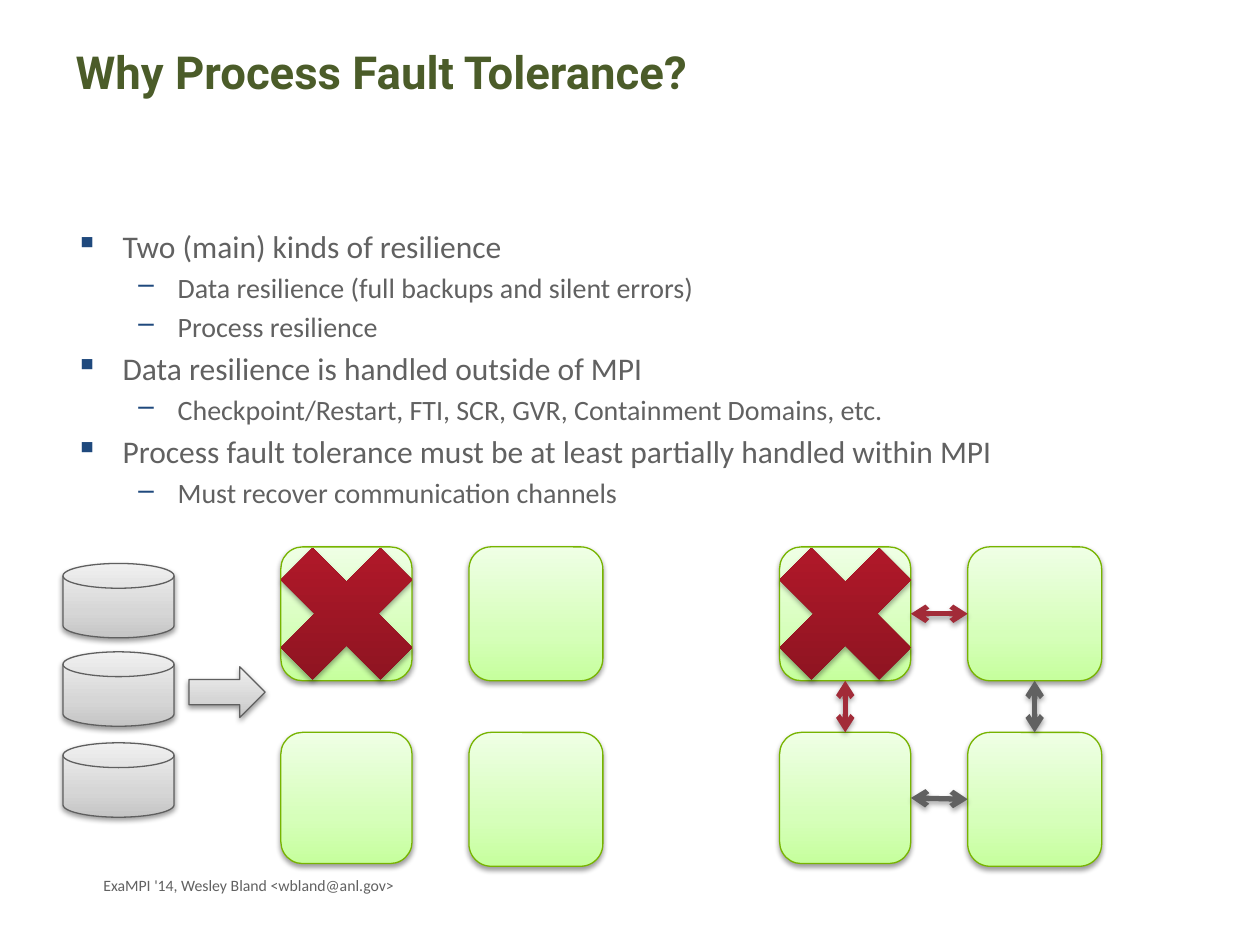
"""Build a slide on process fault tolerance with bullets and two node grids."""
from lxml import etree
from pptx import Presentation
from pptx.dml.color import RGBColor
from pptx.enum.shapes import MSO_CONNECTOR, MSO_SHAPE
from pptx.enum.text import MSO_ANCHOR, PP_ALIGN
from pptx.oxml.ns import qn
from pptx.util import Pt

NODE = MSO_SHAPE.ROUNDED_RECTANGLE
CROSS = MSO_SHAPE.MATH_MULTIPLY
DISK = MSO_SHAPE.FLOWCHART_MAGNETIC_DISK
ARROW = MSO_SHAPE.RIGHT_ARROW
STRAIGHT = MSO_CONNECTOR.STRAIGHT
TOP, MIDDLE = MSO_ANCHOR.TOP, MSO_ANCHOR.MIDDLE
LEFT = PP_ALIGN.LEFT

COLORS = {
    "title": "4B5C29", "text": "616161", "bullet": "1F497D",
    "node": "77B400", "store": "5F5F5F", "lost": "A22B38", "live": "616161",
    "shadow": "000000",
}
BLENDS = {
    "node": [(0, "C6FF9D"), (35, "D6FFBA"), (100, "EFFFE5")],
    "store": [(0, "C5C5C5"), (35, "D6D6D6"), (100, "F0F0F0")],
    "cross": [(0, "86131F"), (80, "AE1829"), (100, "B21627")],
}
LEVELS = [
    {"size": 18, "left": 27, "hang": 27, "mark": "▪"},
    {"size": 16, "left": 58.5, "hang": 22.5, "mark": "–"},
]
POINTS = [
    (0, "Two (main) kinds of resilience"),
    (1, "Data resilience (full backups and silent errors)"),
    (1, "Process resilience"),
    (0, "Data resilience is handled outside of MPI"),
    (1, "Checkpoint/Restart, FTI, SCR, GVR, Containment Domains, etc."),
    (0, "Process fault tolerance must be at least partially handled within MPI"),
    (1, "Must recover communication channels"),
]
COLS = [(160.5, 75), (268, 76.5)]
ROWS = [(312.5, 76.5), (418.5, 76.5)]
SIDE = 109.5
LINKS = [
    ((0, 0), 3, (0, 1), 1, "lost"),
    ((1, 0), 3, (1, 1), 1, "live"),
    ((0, 1), 2, (1, 1), 0, "live"),
    ((0, 0), 2, (1, 0), 0, "lost"),
]


def rgb(name):
    return RGBColor.from_string(COLORS[name])


def add_node(root, tag, **attrs):
    node = etree.SubElement(root, qn(tag))
    for key, value in attrs.items():
        node.set(key, str(value))
    return node


def write(para, text, size=18, color="text", font="Calibri", bold=False,
          space=0, level=None):
    para.text = text
    para.alignment = LEFT
    if level is not None:
        look = LEVELS[level]
        size = look["size"]
        para.level = level
        props = para._p.get_or_add_pPr()
        props.set("marL", str(Pt(look["left"])))
        props.set("indent", str(-Pt(look["hang"])))
        tint = add_node(props, "a:buClr")
        add_node(tint, "a:srgbClr", val=COLORS["bullet"])
        add_node(props, "a:buChar", char=look["mark"])
    para.space_before = Pt(space)
    para.font.size = Pt(size)
    para.font.name = font
    para.font.bold = bold
    para.font.color.rgb = rgb(color)


def add_box(slide, x, y, w, h, anchor=TOP):
    box = slide.shapes.add_textbox(Pt(x), Pt(y), Pt(w), Pt(h))
    frame = box.text_frame
    frame.word_wrap = True
    frame.vertical_anchor = anchor
    return frame


def add_title(slide, text):
    title = slide.shapes.title
    title.left, title.top = Pt(36), Pt(21.6)
    title.width, title.height = Pt(648), Pt(90)
    title.text_frame.vertical_anchor = TOP
    write(title.text_frame.paragraphs[0], text, size=26, color="title",
          font="Roboto", bold=True)


def add_points(slide):
    frame = add_box(slide, 36, 126, 648, 175.5)
    for i, (level, text) in enumerate(POINTS):
        para = frame.add_paragraph() if i else frame.paragraphs[0]
        gap = LEVELS[level]["size"] * 0.2 if i else 0
        write(para, text, level=level, space=gap)


def cast(item, alpha, dist):
    props = item._element.spPr
    list_ = props.find(qn("a:effectLst"))
    if list_ is None:
        list_ = add_node(props, "a:effectLst")
    shade = add_node(list_, "a:outerShdw", blurRad=Pt(3.1), dist=Pt(dist),
                     dir=5400000, rotWithShape=0)
    tint = add_node(shade, "a:srgbClr", val=COLORS["shadow"])
    add_node(tint, "a:alpha", val=alpha * 1000)


def add_form(slide, kind, x, y, w, h, blend, line=None):
    form = slide.shapes.add_shape(kind, Pt(x), Pt(y), Pt(w), Pt(h))
    form.fill.gradient()
    form.fill.gradient_angle = 90
    stops = form._element.spPr.find(qn("a:gradFill")).find(qn("a:gsLst"))
    for stop in list(stops):
        stops.remove(stop)
    for place, color in BLENDS[blend]:
        stop = add_node(stops, "a:gs", pos=place * 1000)
        add_node(stop, "a:srgbClr", val=color)
    if line:
        form.line.color.rgb = rgb(line)
        form.line.width = Pt(0.75)
    else:
        form.line.fill.background()
    form.shadow.inherit = False
    cast(form, *((38, 1.6) if line else (35, 1.8)))
    return form


def add_grid(slide, shift):
    nodes = {}
    for r, (y, h) in enumerate(ROWS):
        for c, (x, w) in enumerate(COLS):
            tall = 75 if (r, c) == (1, 0) else h
            nodes[r, c] = add_form(slide, NODE, x + shift, y, w, tall,
                                   "node", "node")
    (x, w), (y, h) = COLS[0], ROWS[0]
    add_form(slide, CROSS, x + shift + (w - SIDE) / 2, y + (h - SIDE) / 2,
             SIDE, SIDE, "cross")
    return nodes


def add_link(slide, start, out, end, into, color):
    link = slide.shapes.add_connector(STRAIGHT, 0, 0, 0, 0)
    link.begin_connect(start, out)
    link.end_connect(end, into)
    link.line.color.rgb = rgb(color)
    link.line.width = Pt(3)
    stroke = link.line._get_or_add_ln()
    add_node(stroke, "a:headEnd", type="arrow")
    add_node(stroke, "a:tailEnd", type="arrow")
    cast(link, 35, 1.8)


def main():
    deck = Presentation()
    deck.slide_width, deck.slide_height = Pt(720), Pt(540)
    slide = deck.slides.add_slide(deck.slide_layouts[5])
    add_title(slide, "Why Process Fault Tolerance?")
    add_points(slide)
    foot = add_box(slide, 52, 497, 468, 18, MIDDLE)
    write(foot.paragraphs[0], "ExaMPI '14, Wesley Bland <wbland@anl.gov>", size=9)
    add_grid(slide, 0)
    for y in (322, 372.5, 424.5):
        add_form(slide, DISK, 36, y, 63.5, 42.5, "store", "store")
    add_form(slide, ARROW, 108, 381, 43.5, 29, "store", "store")
    nodes = add_grid(slide, 285)
    for start, out, end, into, color in LINKS:
        add_link(slide, nodes[start], out, nodes[end], into, color)
    deck.save("out.pptx")


if __name__ == "__main__":
    main()
